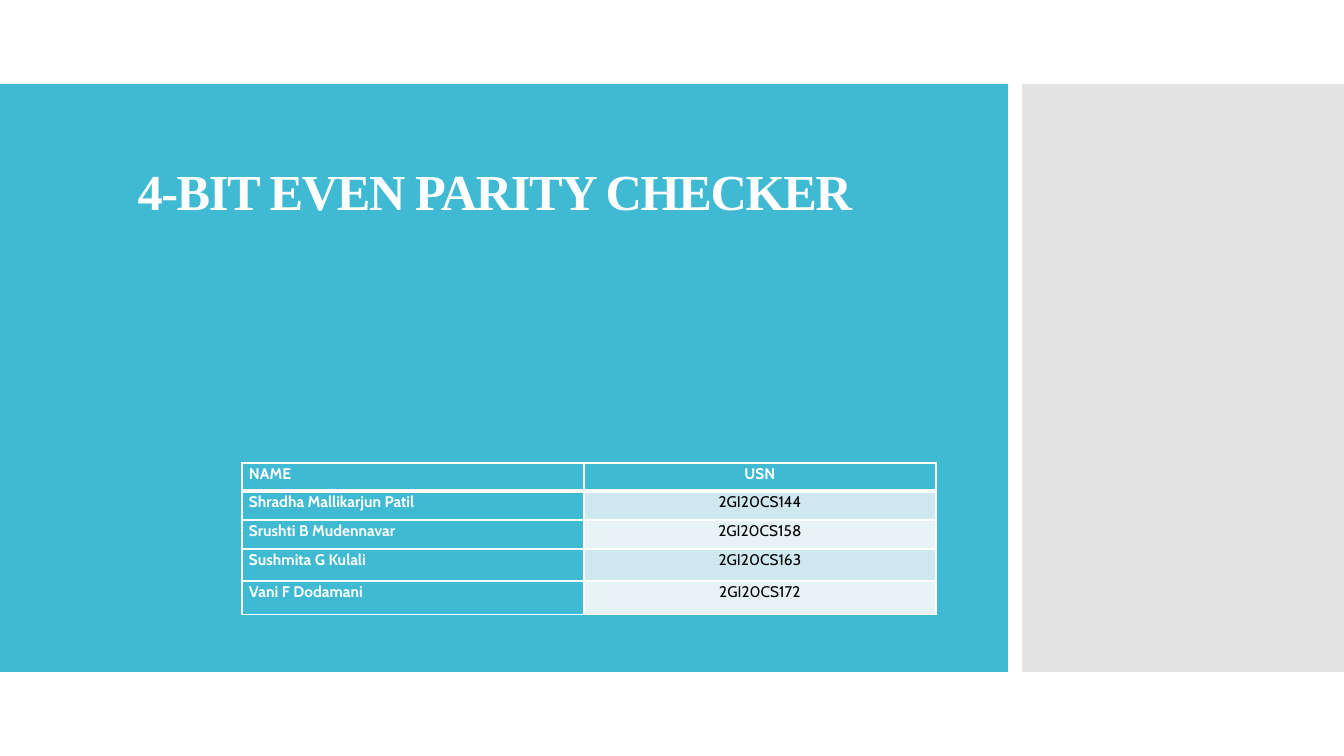
from lxml import etree
from pptx import Presentation, util as u
from pptx.dml.color import RGBColor
from pptx.enum import shapes, text
from pptx.oxml.ns import qn

# Content
TITLE = "4-BIT EVEN PARITY CHECKER"
ROWS = [
    ("NAME", "USN"),
    ("Shradha Mallikarjun Patil", "2GI20CS144"),
    ("Srushti B Mudennavar", "2GI20CS158"),
    ("Sushmita G Kulali", "2GI20CS163"),
    ("Vani F Dodamani", "2GI20CS172"),
]

# Layout in px, as left, top, width, height
PAGE_SIZE = (1344, 756)
MAIN_PANEL = (0, 84, 1008, 588)
SIDE_PANEL = (1022, 84, 322, 588)
TITLE_BOX = (47, 0, 896, 226)
TABLE_BOX = (242, 463, 694, 152)
COLUMN_WIDTHS = (342, 352)
ROW_HEIGHTS = (28, 29, 29, 32, 34)
CELL_INSET = 7

COLORS = {
    "teal": "40BAD2",
    "gray": "C8C8C8",
    "white": "FFFFFF",
    "black": "000000",
    "band_dark": "CFE7EE",
    "band_light": "E8F3F7",
}


def px(length):
    return u.Emu(round(length * 914400 / 100.8))


def place(box):
    return [px(length) for length in box]


def paint(fill, color):
    fill.solid()
    fill.fore_color.rgb = RGBColor.from_string(COLORS[color])


def style(span, font, size, color, bold):
    span.font.name = font
    span.font.size = u.Pt(size)
    span.font.bold = bold
    span.font.color.rgb = RGBColor.from_string(COLORS[color])


def add_panel(page, box, color):
    panel = page.shapes.add_shape(shapes.MSO_SHAPE.RECTANGLE, *place(box))
    panel.shadow.inherit = False
    paint(panel.fill, color)
    panel.line.fill.background()
    return panel


def add_borders(cell, bottom_points):
    # Borders come before the fill in the cell properties
    props = cell._tc.get_or_add_tcPr()
    sides = {"lnL": 1, "lnR": 1, "lnT": 1, "lnB": bottom_points}
    for index, (side, points) in enumerate(sides.items()):
        line = etree.Element(qn(f"a:{side}"), w=str(u.Pt(points)))
        solid = etree.SubElement(line, qn("a:solidFill"))
        etree.SubElement(solid, qn("a:srgbClr"), val=COLORS["white"])
        props.insert(index, line)


def add_title(page):
    box = page.shapes.add_textbox(*place(TITLE_BOX))
    frame = box.text_frame
    frame.word_wrap = True
    frame.vertical_anchor = text.MSO_ANCHOR.BOTTOM
    frame.text = TITLE
    para = frame.paragraphs[0]
    para.alignment = text.PP_ALIGN.CENTER
    para.line_spacing = 0.9
    span = para.runs[0]
    style(span, "Times New Roman", 36, "white", True)
    span.font._element.set("spc", "-100")


def fill_cell(cell, value, row, column):
    header = row == 0
    teal = header or column == 0
    band = "band_dark" if row % 2 else "band_light"
    paint(cell.fill, "teal" if teal else band)
    add_borders(cell, 3 if header else 1)
    cell.margin_left = cell.margin_right = px(CELL_INSET)
    cell.margin_top = cell.margin_bottom = 0
    cell.text_frame.text = value
    para = cell.text_frame.paragraphs[0]
    para.alignment = text.PP_ALIGN.CENTER if column else text.PP_ALIGN.LEFT
    para.line_spacing = 1.07
    para.space_after = u.Pt(8)
    style(para.runs[0], "Cabin", 11, "white" if teal else "black", teal)


def add_students(page):
    table = page.shapes.add_table(len(ROWS), len(COLUMN_WIDTHS), *place(TABLE_BOX)).table
    for column, width in zip(table.columns, COLUMN_WIDTHS):
        column.width = px(width)
    for row, height in zip(table.rows, ROW_HEIGHTS):
        row.height = px(height)
    for row, values in enumerate(ROWS):
        for column, value in enumerate(values):
            fill_cell(table.cell(row, column), value, row, column)


def main():
    deck = Presentation()
    deck.slide_width, deck.slide_height = place(PAGE_SIZE)
    page = deck.slides.add_slide(deck.slide_layouts[6])
    paint(page.background.fill, "white")

    # Panels, the side one half transparent
    add_panel(page, MAIN_PANEL, "teal")
    side = add_panel(page, SIDE_PANEL, "gray")
    side_color = side._element.spPr.find(qn("a:solidFill"))[0]
    etree.SubElement(side_color, qn("a:alpha"), val="50000")

    # Title and table
    add_title(page)
    add_students(page)
    deck.save("out.pptx")


if __name__ == "__main__":
    main()
